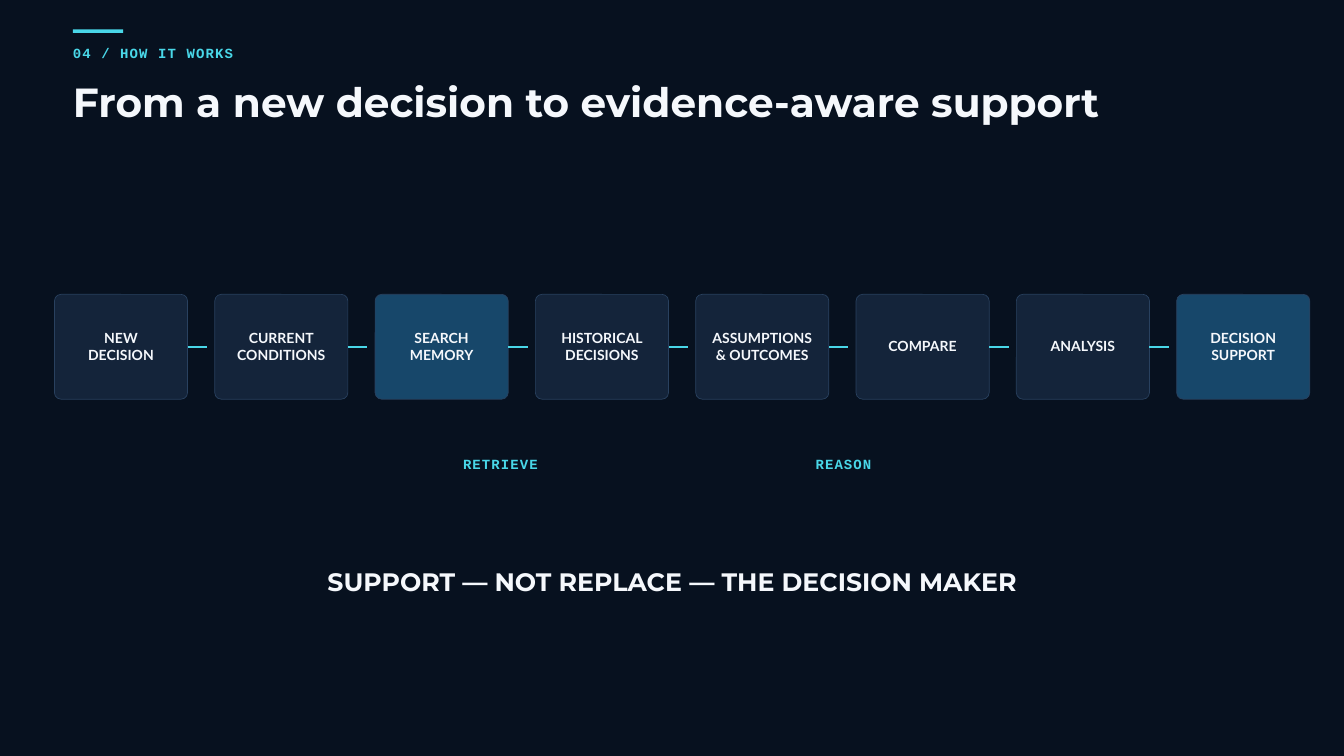
from dataclasses import dataclass

import lxml.etree
import pptx
import pptx.dml.color
import pptx.enum.shapes
import pptx.enum.text
import pptx.oxml.ns
import pptx.presentation
import pptx.shapes.autoshape
import pptx.slide
import pptx.text.text
import pptx.util

Pt = pptx.util.Pt
Align = pptx.enum.text.PP_ALIGN
Preset = pptx.enum.shapes.MSO_SHAPE


@dataclass(frozen=True)
class TextStyle:
    face: str
    size: float
    leading: float
    color: str
    tracking: float = 0


@dataclass(frozen=True)
class Theme:
    background: str = "07111F"
    accent: str = "49D7E8"
    card: str = "14243A"
    highlight: str = "17476A"
    border: str = "29415F"
    label: TextStyle = TextStyle("Courier New", 15, 21, "49D7E8", 1.2)
    title: TextStyle = TextStyle("Montserrat", 43.5, 47, "F5F8FC")
    step: TextStyle = TextStyle("Lato", 15, 17.2, "F5F8FC")
    closing: TextStyle = TextStyle("Montserrat", 27, 31, "F5F8FC")


@dataclass(frozen=True)
class Box:
    left: float
    top: float
    width: float
    height: float

    def lengths(self) -> tuple[pptx.util.Length, ...]:
        return tuple(Pt(value) for value in (self.left, self.top, self.width, self.height))


@dataclass(frozen=True)
class Step:
    lines: tuple[str, ...]
    highlighted: bool = False


@dataclass(frozen=True)
class Caption:
    text: str
    box: Box
    style: TextStyle
    align: Align = Align.CENTER


THEME = Theme()
FIRST_CARD = Box(58.35, 315.4, 142.6, 112.3)
CARD_PITCH = 171.77
CARD_RADIUS = 7
CARD_INSET = 4.5
LINK_LENGTH = 21
ACCENT_BAR = Box(78, 31.5, 54, 3.75)

STEPS = (
    Step(("NEW", "DECISION")),
    Step(("CURRENT", "CONDITIONS")),
    Step(("SEARCH", "MEMORY"), True),
    Step(("HISTORICAL", "DECISIONS")),
    Step(("ASSUMPTIONS", "& OUTCOMES")),
    Step(("COMPARE",)),
    Step(("ANALYSIS",)),
    Step(("DECISION", "SUPPORT"), True),
)

CAPTIONS = (
    Caption("04 / HOW IT WORKS", Box(78, 44.6, 195, 19.5), THEME.label, Align.LEFT),
    Caption("From a new decision to evidence-aware support",
            Box(78, 87.1, 1124.6, 48.2), THEME.title, Align.LEFT),
    Caption("RETRIEVE", Box(390, 485.3, 292.5, 20.2), THEME.label),
    Caption("REASON", Box(757.5, 485.3, 292.5, 20.2), THEME.label),
    Caption("SUPPORT — NOT REPLACE — THE DECISION MAKER",
            Box(315, 608.4, 810, 31.7), THEME.closing),
)


def rgb(color: str) -> pptx.dml.color.RGBColor:
    return pptx.dml.color.RGBColor.from_string(color)


def write_text(frame: pptx.text.text.TextFrame, lines: tuple[str, ...],
               style: TextStyle, align: Align, inset: float = 0) -> None:
    frame.word_wrap = True
    frame.margin_left = frame.margin_right = Pt(inset)
    frame.margin_top = frame.margin_bottom = Pt(inset)
    for index, line in enumerate(lines):
        para = frame.paragraphs[0] if index == 0 else frame.add_paragraph()
        para.alignment = align
        para.line_spacing = Pt(style.leading)
        para.font.name = style.face
        para.font.size = Pt(style.size)
        para.font.bold = True
        para.font.color.rgb = rgb(style.color)
        span = para.add_run()
        span.text = line
        if style.tracking:
            span._r.get_or_add_rPr().set("spc", str(round(style.tracking * 100)))


def add_panel(page: pptx.slide.Slide, preset: Preset, box: Box,
              fill: str) -> pptx.shapes.autoshape.Shape:
    panel = page.shapes.add_shape(preset, *box.lengths())
    panel.shadow.inherit = False
    panel.fill.solid()
    panel.fill.fore_color.rgb = rgb(fill)
    panel.line.fill.background()
    return panel


def add_caption(page: pptx.slide.Slide, caption: Caption) -> None:
    text_box = page.shapes.add_textbox(*caption.box.lengths())
    write_text(text_box.text_frame, (caption.text,), caption.style, caption.align)


def add_card(page: pptx.slide.Slide, step: Step, box: Box) -> pptx.shapes.autoshape.Shape:
    fill = THEME.highlight if step.highlighted else THEME.card
    card = add_panel(page, Preset.ROUNDED_RECTANGLE, box, fill)
    card.adjustments[0] = CARD_RADIUS / box.height
    card.line.color.rgb = rgb(THEME.border)
    card.line.width = Pt(0.75)
    card.text_frame.vertical_anchor = pptx.enum.text.MSO_ANCHOR.MIDDLE
    write_text(card.text_frame, step.lines, THEME.step, Align.CENTER, CARD_INSET)
    return card


def add_link(page: pptx.slide.Slide, card: pptx.shapes.autoshape.Shape, box: Box) -> None:
    start = box.left + box.width
    middle = box.top + box.height / 2
    link = page.shapes.add_connector(
        pptx.enum.shapes.MSO_CONNECTOR.STRAIGHT,
        Pt(start), Pt(middle), Pt(start + LINK_LENGTH), Pt(middle))
    link.begin_connect(card, 3)
    link.line.color.rgb = rgb(THEME.accent)
    link.line.width = Pt(2.25)
    lxml.etree.SubElement(link._element.spPr, pptx.oxml.ns.qn("a:effectLst"))


def add_process(page: pptx.slide.Slide) -> None:
    for index, step in enumerate(STEPS):
        box = Box(FIRST_CARD.left + index * CARD_PITCH, FIRST_CARD.top,
                  FIRST_CARD.width, FIRST_CARD.height)
        card = add_card(page, step, box)
        if index < len(STEPS) - 1:
            add_link(page, card, box)


def main() -> None:
    deck = pptx.Presentation()
    deck.slide_width, deck.slide_height = Pt(1440), Pt(810)
    page = deck.slides.add_slide(deck.slide_layouts[6])
    page.background.fill.solid()
    page.background.fill.fore_color.rgb = rgb(THEME.background)
    add_panel(page, Preset.RECTANGLE, ACCENT_BAR, THEME.accent)
    add_process(page)
    for caption in CAPTIONS:
        add_caption(page, caption)
    deck.save("out.pptx")


if __name__ == "__main__":
    main()
